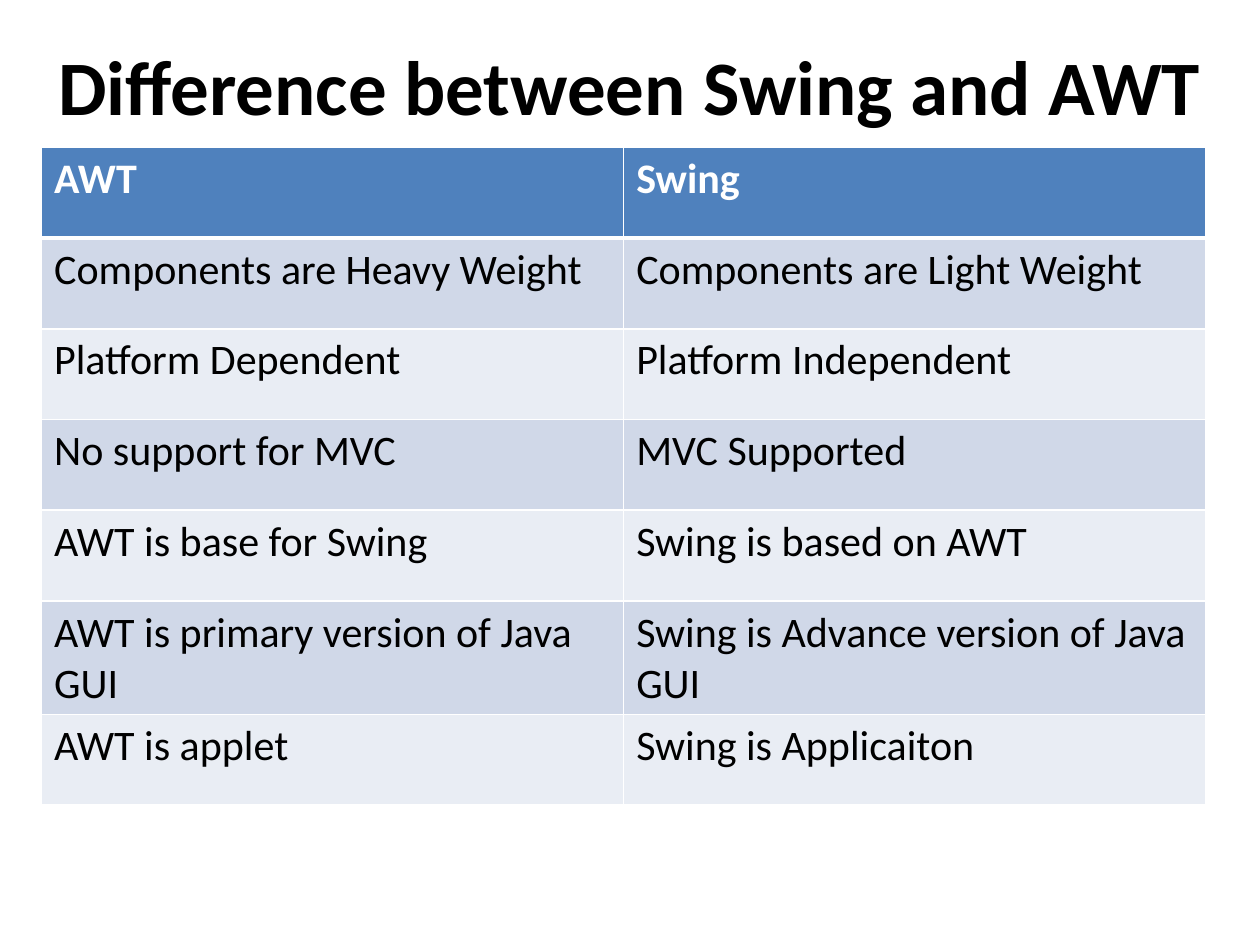
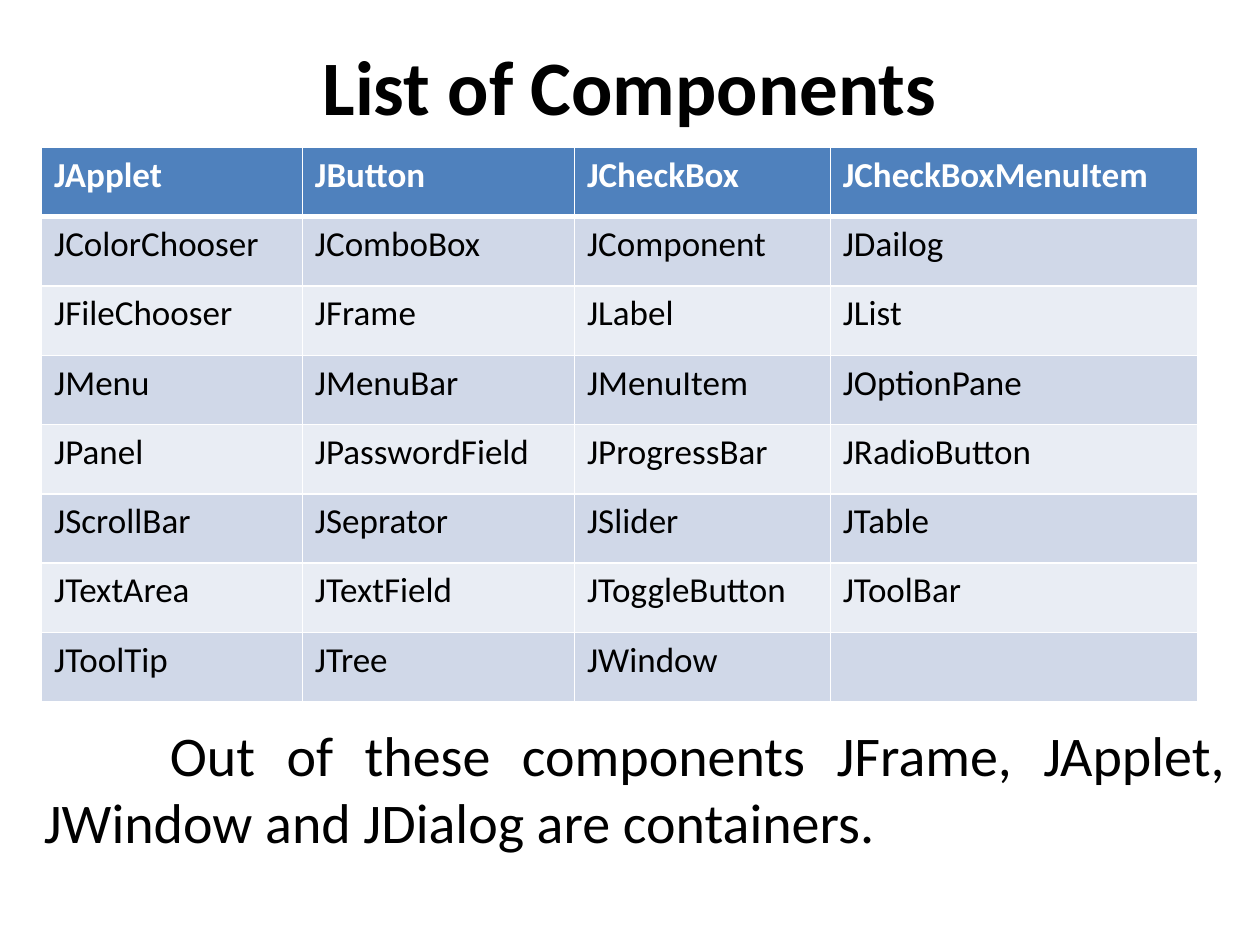
from dataclasses import dataclass

from lxml import etree
from pptx import Presentation
from pptx import util as u
from pptx.dml.color import RGBColor
from pptx.enum import text as t
from pptx.oxml import ns

COMPARISON = [
    ("AWT", "Swing"),
    ("Components are Heavy Weight", "Components are Light Weight"),
    ("Platform Dependent", "Platform Independent"),
    ("No support for MVC", "MVC Supported"),
    ("AWT is base for Swing", "Swing is based on AWT"),
    ("AWT is primary version of Java GUI", "Swing is Advance version of Java GUI"),
    ("AWT is applet", "Swing is Applicaiton"),
]

COMPONENTS = [
    ("JApplet", "JButton", "JCheckBox", "JCheckBoxMenuItem"),
    ("JColorChooser", "JComboBox", "JComponent", "JDailog"),
    ("JFileChooser", "JFrame", "JLabel", "JList"),
    ("JMenu", "JMenuBar", "JMenuItem", "JOptionPane"),
    ("JPanel", "JPasswordField", "JProgressBar", "JRadioButton"),
    ("JScrollBar", "JSeprator", "JSlider", "JTable"),
    ("JTextArea", "JTextField", "JToggleButton", "JToolBar"),
    ("JToolTip", "JTree", "JWindow", ""),
]

CONTAINERS_NOTE = "Out of these components JFrame, JApplet, JWindow and JDialog are containers."

SLIDES = [
    dict(title="Difference between Swing and AWT", rows=COMPARISON,
         col_widths=(4.62, 4.62), row_height=0.72, size=24),
    dict(title="List of Components", rows=COMPONENTS,
         col_widths=(2.07, 2.16, 2.03, 2.92), row_height=0.55, size=20,
         note=CONTAINERS_NOTE),
]


@dataclass(frozen=True)
class Theme:
    font: str = "Calibri"
    ink: str = "000000"
    paper: str = "FFFFFF"
    header: str = "4F81BD"
    bands: tuple = ("D0D8E8", "E9EDF4")
    title_size: int = 44
    note_size: int = 32
    rule: int = 1
    header_rule: int = 3


THEME = Theme()
TITLE_BOX = (0, 0.17, 10, 1)
TABLE_LEFT, TABLE_TOP = 0.33, 1.17
NOTE_BOX = (0.25, 5.67, 9.58, 1.18)


def write(frame, words, size, color=THEME.ink, bold=False,
          align=t.PP_ALIGN.LEFT, indent=0):
    paragraph = frame.paragraphs[0]
    paragraph.alignment = align
    if indent:
        paragraph._p.get_or_add_pPr().set("indent", str(u.Inches(indent)))
    paragraph.font.size = u.Pt(size)
    if not words:
        return
    run = paragraph.add_run()
    run.text = words
    run.font.name = THEME.font
    run.font.size = u.Pt(size)
    run.font.bold = bold
    run.font.color.rgb = RGBColor.from_string(color)


def add_text(slide, box, words, anchor=t.MSO_ANCHOR.TOP, **style):
    frame = slide.shapes.add_textbox(*map(u.Inches, box)).text_frame
    frame.word_wrap = True
    frame.vertical_anchor = anchor
    write(frame, words, **style)


def set_borders(cell, bottom, top):
    """Rule all four sides; the cell properties need the lines before the fill."""
    properties = cell._tc.get_or_add_tcPr()
    widths = dict(lnL=THEME.rule, lnR=THEME.rule, lnT=top, lnB=bottom)
    for place, (side, width) in enumerate(widths.items()):
        line = etree.Element(ns.qn(f"a:{side}"), w=str(u.Pt(width)))
        fill = etree.SubElement(line, ns.qn("a:solidFill"))
        etree.SubElement(fill, ns.qn("a:srgbClr"), val=THEME.paper)
        properties.insert(place, line)


def add_grid(slide, rows, col_widths, row_height, size):
    table = slide.shapes.add_table(
        len(rows), len(col_widths), u.Inches(TABLE_LEFT), u.Inches(TABLE_TOP),
        u.Inches(sum(col_widths)), u.Inches(row_height * len(rows))).table
    for column, width in zip(table.columns, col_widths):
        column.width = u.Inches(width)
    for r, entries in enumerate(rows):
        table.rows[r].height = u.Inches(row_height)
        is_header = r == 0
        for c, entry in enumerate(entries):
            cell = table.cell(r, c)
            cell.fill.solid()
            cell.fill.fore_color.rgb = RGBColor.from_string(
                THEME.header if is_header else THEME.bands[(r - 1) % 2])
            set_borders(cell,
                        bottom=THEME.header_rule if is_header else THEME.rule,
                        top=THEME.header_rule if r == 1 else THEME.rule)
            write(cell.text_frame, entry, size, bold=is_header,
                  color=THEME.paper if is_header else THEME.ink)


def add_slide(deck, title, note=None, **grid):
    slide = deck.slides.add_slide(deck.slide_layouts[6])
    add_text(slide, TITLE_BOX, title, anchor=t.MSO_ANCHOR.MIDDLE,
             size=THEME.title_size, bold=True, align=t.PP_ALIGN.CENTER)
    add_grid(slide, **grid)
    if note:
        add_text(slide, NOTE_BOX, note, size=THEME.note_size,
                 align=t.PP_ALIGN.JUSTIFY, indent=1)


def main():
    deck = Presentation()
    deck.slide_width, deck.slide_height = u.Inches(10), u.Inches(7.5)
    for content in SLIDES:
        add_slide(deck, **content)
    deck.save("out.pptx")


if __name__ == "__main__":
    main()
